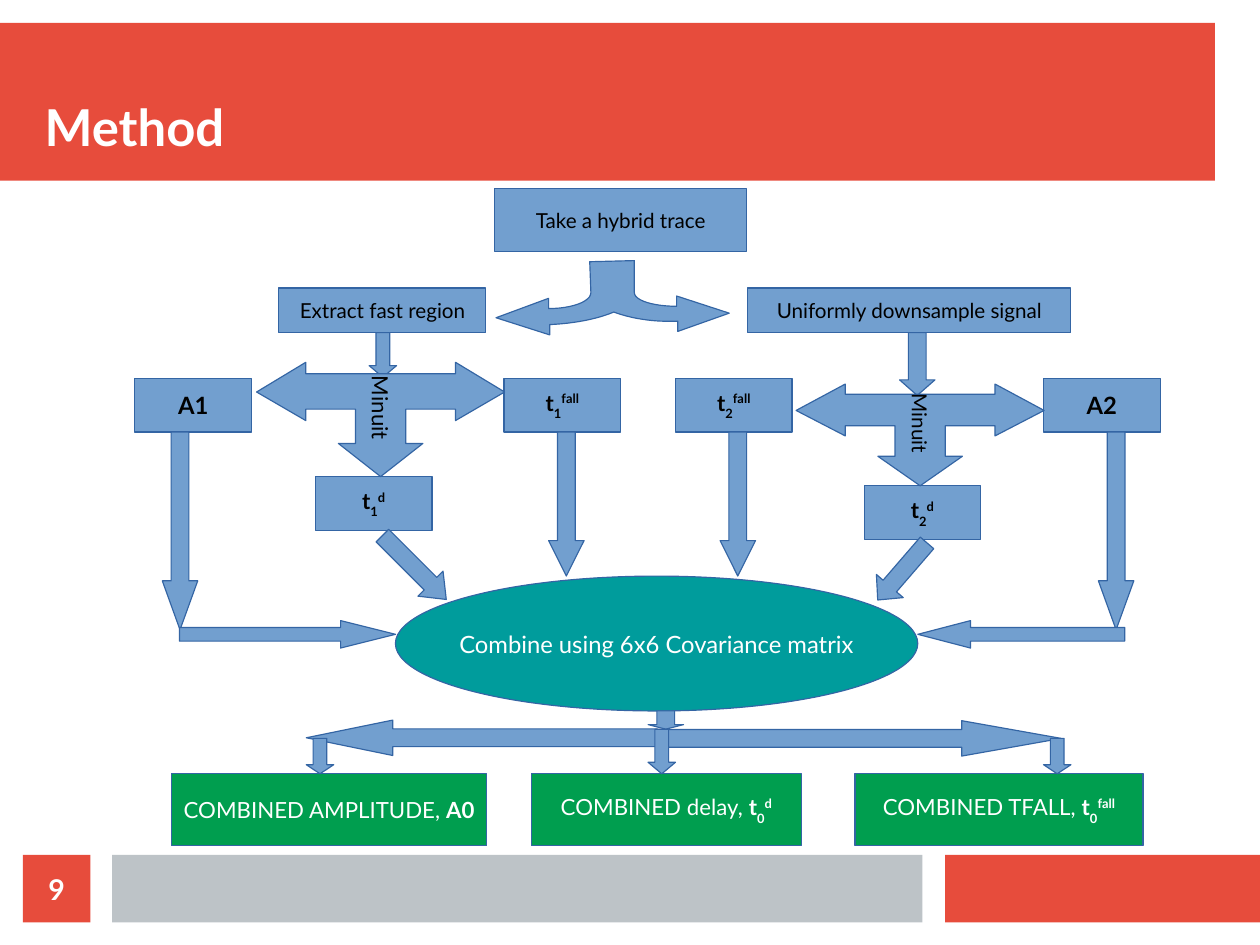
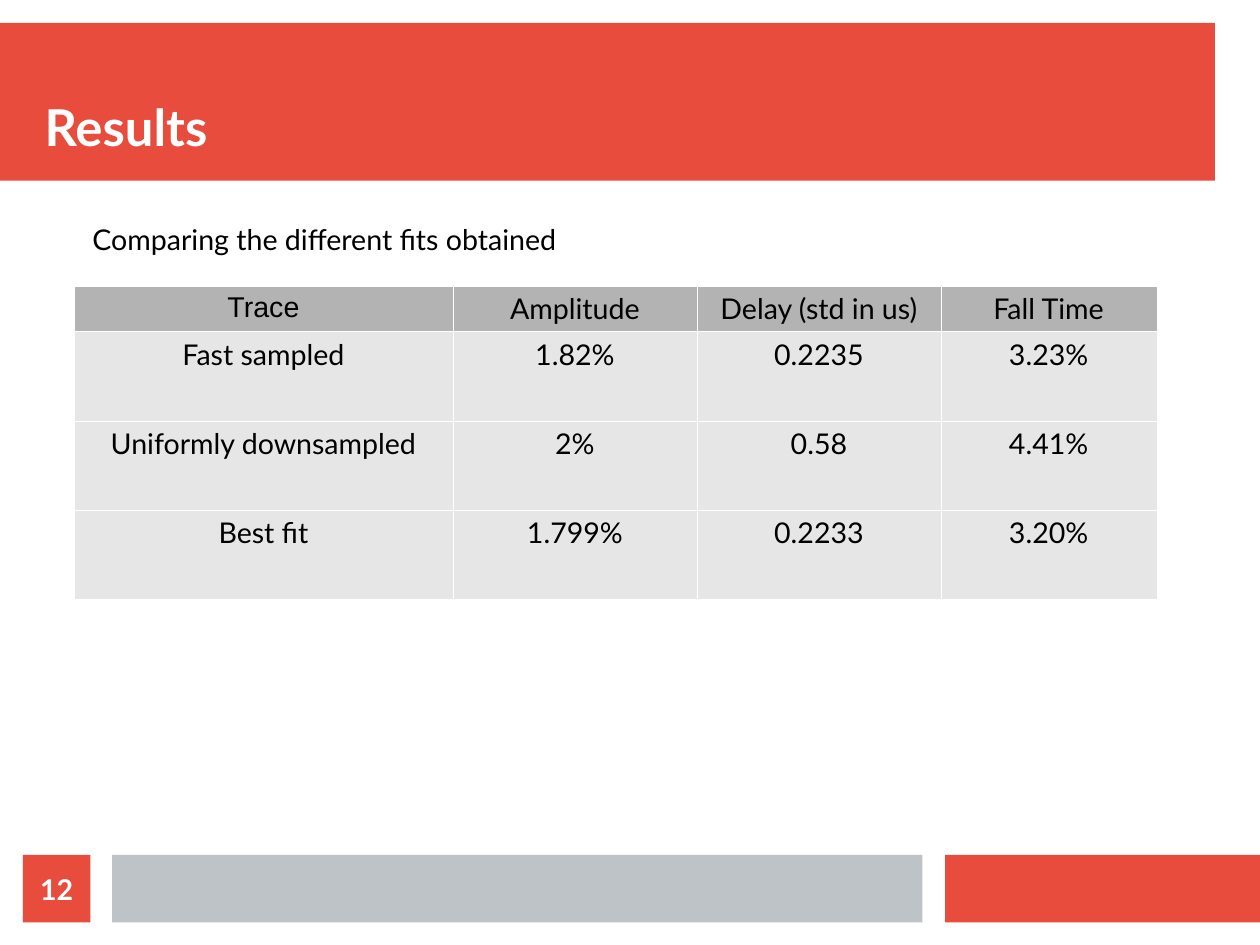
import pptx
import pptx.util
import pptx.dml.color
import pptx.enum.shapes
import pptx.enum.text
from dataclasses import dataclass
from lxml import etree

Inches, Pt = pptx.util.Inches, pptx.util.Pt
Shapes = pptx.enum.shapes.MSO_SHAPE
Align, Anchor = pptx.enum.text.PP_ALIGN, pptx.enum.text.MSO_ANCHOR


@dataclass(frozen=True)
class Theme:
    font: str = "Lato"
    header_font: str = "Arial"
    red: str = "E74C3C"
    grey: str = "BDC3C7"
    blue: str = "729FCF"
    outline: str = "3465A4"
    teal: str = "009C9C"
    green: str = "009E4F"
    header_fill: str = "B3B3B3"
    cell_fill: str = "E6E6E6"
    black: str = "000000"
    white: str = "FFFFFF"
    title_size: int = 32
    body_size: int = 18
    step_size: int = 13
    symbol_size: int = 14
    large_size: int = 15


THEME = Theme()
PAGE = (28 / 2.54, 21 / 2.54)  # 28 by 21 cm
BANDS = [
    (0, 0.2, 10.63, 1.38, THEME.red),
    (8.27, 7.48, 2.76, 0.59, THEME.red),
    (0.98, 7.48, 7.09, 0.59, THEME.grey),
]


def symbol(index, power):
    return [("t", "bold"), (index, "sub"), (power, "super")]


STEPS = [  # left, top, width, height, runs, size
    (4.33, 1.65, 2.2, 0.55, [("Take a hybrid trace", "")], THEME.step_size),
    (2.44, 2.52, 1.81, 0.39, [("Extract fast region", "")], THEME.step_size),
    (6.54, 2.52, 2.83, 0.39, [("Uniformly downsample signal", "")], THEME.step_size),
]
PARAMETERS = [  # left, top, runs, size
    (1.18, 3.31, [("A1", "bold")], THEME.large_size),
    (2.76, 4.17, symbol("1", "d"), THEME.symbol_size),
    (4.41, 3.31, symbol("1", "fall"), THEME.symbol_size),
    (5.91, 3.31, symbol("2", "fall"), THEME.symbol_size),
    (7.56, 4.25, symbol("2", "d"), THEME.symbol_size),
    (9.13, 3.31, [("A2", "bold")], THEME.large_size),
]
PARAMETER_SIZE = (1.02, 0.47)
RESULTS = [  # left, width, runs
    (1.5, 2.76, [("COMBINED AMPLITUDE, ", ""), ("A0", "bold")]),
    (4.65, 2.36, [("COMBINED delay, ", "")] + symbol("0", "d")),
    (7.48, 2.52, [("COMBINED TFALL, ", "")] + symbol("0", "fall")),
]
DOWN, LEFT, RIGHT = Shapes.DOWN_ARROW, Shapes.LEFT_ARROW, Shapes.RIGHT_ARROW
ARROWS = [  # direction, left, top, width, height, head ratio, rotation
    (DOWN, 3.23, 2.91, 0.24, 0.39, 0.42, 0),
    (DOWN, 7.87, 2.91, 0.31, 0.55, 0.44, 0),
    (DOWN, 1.42, 3.78, 0.31, 1.73, 1.38, 0),
    (DOWN, 9.61, 3.78, 0.31, 1.73, 1.38, 0),
    (RIGHT, 1.57, 5.43, 1.89, 0.24, 2, 0),
    (LEFT, 8.03, 5.43, 1.81, 0.24, 1.92, 0),
    (DOWN, 6.3, 3.78, 0.31, 1.26, 1, 0),
    (DOWN, 4.8, 3.78, 0.31, 1.26, 1, 0),
    (DOWN, 3.47, 4.57, 0.31, 0.79, 0.63, 315),
    (DOWN, 7.74, 4.67, 0.31, 0.66, 0.52, 40.8),
    (DOWN, 4.06, 4.92, 0.31, 3.07, 2.44, 90),
    (DOWN, 5.67, 6.22, 0.31, 0.16, 0.25, 0),
    (DOWN, 7.36, 4.69, 0.31, 3.54, 2.81, 270),
    (DOWN, 2.68, 6.46, 0.24, 0.31, 0.33, 0),
    (DOWN, 5.67, 6.38, 0.24, 0.39, 0.42, 0),
    (DOWN, 9.13, 6.46, 0.24, 0.31, 0.33, 0),
]
FITS = [  # centre x, top, depth, text size
    (3.33, 3.17, 1, 14),
    (8.05, 3.36, 0.89, 13),
]
FIT_SPAN = 2.17
# Each segment is one corner, or two control points and the end of a curve.
FORK = [
    [(5.17, 2.56)],
    [(5.17, 2.64), (5, 2.7), (4.8, 2.7)],
    [(4.8, 2.61)], [(4.34, 2.78)], [(4.81, 2.93)], [(4.81, 2.84)],
    [(5.03, 2.83), (5.23, 2.79), (5.37, 2.73)],
    [(5.5, 2.78), (5.7, 2.82), (5.93, 2.81)],
    [(5.93, 2.9)], [(6.38, 2.74)], [(5.92, 2.59)], [(5.92, 2.68)],
    [(5.72, 2.68), (5.55, 2.63), (5.55, 2.56)],
    [(5.55, 2.28)], [(5.16, 2.29)],
]

CAPTION = "Comparing the different fits obtained"
FIT_TABLE = [
    ("Trace", "Amplitude", "Delay (std in us)", "Fall Time"),
    ("Fast sampled", "1.82%", "0.2235", "3.23%"),
    ("Uniformly downsampled", "2%", "0.58", "4.41%"),
    ("Best fit", "1.799%", "0.2233", "3.20%"),
]
COLUMN_WIDTHS = (3.31, 2.14, 2.13, 1.89)
HEADER_HEIGHT, ROW_HEIGHT = 0.39, 0.78


def rgb(colour):
    return pptx.dml.color.RGBColor.from_string(colour)


def write(paragraph, runs, size, colour, font=THEME.font):
    baselines = {"sub": "-33000", "super": "33000"}
    for text, style in runs:
        run = paragraph.add_run()
        run.text = text
        run.font.name, run.font.size = font, Pt(size)
        run.font.color.rgb = rgb(colour)
        run.font.bold = style != ""
        if style in baselines:
            run._r.get_or_add_rPr().set("baseline", baselines[style])


def paint(shape, fill, outline=None):
    shape.shadow.inherit = False
    shape.fill.solid()
    shape.fill.fore_color.rgb = rgb(fill)
    if outline:
        shape.line.color.rgb = rgb(outline)
        shape.line.width = Pt(0)
    else:
        shape.line.fill.background()
    return shape


def place(slide, kind, box, fill, outline=None):
    shape = slide.shapes.add_shape(kind, *map(Inches, box))
    return paint(shape, fill, outline)


def label(shape, runs, size, colour):
    frame = shape.text_frame
    frame.word_wrap = False
    frame.vertical_anchor = Anchor.MIDDLE
    frame.paragraphs[0].alignment = Align.CENTER
    write(frame.paragraphs[0], runs, size, colour)


def node(slide, box, runs, size, fill=THEME.blue, colour=THEME.black, kind=Shapes.RECTANGLE):
    label(place(slide, kind, box, fill, THEME.outline), runs, size, colour)


def outline_shape(slide, points):
    corners = [(Inches(x), Inches(y)) for x, y in points]
    builder = slide.shapes.build_freeform(*corners[0])
    builder.add_line_segments(corners[1:], close=True)
    return paint(builder.convert_to_shape(), THEME.blue, THEME.outline)


def flatten(segments, steps=12):
    """Turn corners and cubic curves into one list of points."""
    points = []
    for segment in segments:
        if len(segment) == 1:
            points += segment
            continue
        curve = [points[-1]] + segment
        for step in range(1, steps + 1):
            t = step / steps
            weights = ((1 - t) ** 3, 3 * t * (1 - t) ** 2, 3 * t * t * (1 - t), t ** 3)
            points.append(tuple(sum(w * p[axis] for w, p in zip(weights, curve))
                                for axis in (0, 1)))
    return points


def add_fit(slide, centre, top, depth, size):
    """Three-headed arrow, built pointing right and turned to point down."""
    reach = FIT_SPAN / 2
    neck = 0.43 - reach
    half = [(0.1, neck), (0, neck), (0.26, -reach), (0.51, neck),
            (0.41, neck), (0.41, -0.22), (0.71, -0.22), (0.71, -0.37)]
    mirrored = [(along, -across) for along, across in reversed(half)]
    left, middle = centre - depth / 2, top + depth / 2
    points = [(left + along * depth, middle + across)
              for along, across in half + [(1, 0)] + mirrored]
    arrow = outline_shape(slide, points)
    arrow.rotation = 90
    label(arrow, [("Minuit", "")], size, THEME.black)
    arrow.text_frame.margin_right = Inches(0.3)


def add_text(slide, box, text, size, colour, bold=False):
    frame = slide.shapes.add_textbox(*map(Inches, box)).text_frame
    frame.word_wrap = True
    write(frame.paragraphs[0], [(text, "bold" if bold else "")], size, colour)
    return frame


def clear_margins(frame):
    frame.margin_left = frame.margin_right = frame.margin_top = frame.margin_bottom = 0


def new_slide(deck, title, number):
    slide = deck.slides.add_slide(deck.slide_layouts[6])
    for *box, fill in BANDS:
        place(slide, Shapes.RECTANGLE, box, fill)
    heading = add_text(slide, (0.39, 0.39, 10.24, 0.98), title,
                       THEME.title_size, THEME.white, bold=True)
    heading.vertical_anchor = Anchor.BOTTOM
    clear_margins(heading)
    badge = place(slide, Shapes.RECTANGLE, (0.2, 7.48, 0.59, 0.59), THEME.red)
    label(badge, [(number, "bold")], THEME.body_size, THEME.white)
    clear_margins(badge.text_frame)
    return slide


def add_method(deck):
    slide = new_slide(deck, "Method", "9")
    for *box, runs, size in STEPS:
        node(slide, box, runs, size)
    for left, top, runs, size in PARAMETERS:
        node(slide, (left, top, *PARAMETER_SIZE), runs, size)
    node(slide, (3.46, 5.04, 4.57, 1.18), [("Combine using 6x6 Covariance matrix", "")],
         THEME.large_size, THEME.teal, THEME.white, Shapes.OVAL)
    for left, width, runs in RESULTS:
        node(slide, (left, 6.77, width, 0.63), runs, THEME.symbol_size,
             THEME.green, THEME.white)
    for direction, *box, head, rotation in ARROWS:
        arrow = place(slide, direction, box, THEME.blue, THEME.outline)
        arrow.adjustments[0], arrow.adjustments[1] = 0.5, head
        arrow.rotation = rotation
    outline_shape(slide, flatten(FORK))
    for fit in FITS:
        add_fit(slide, *fit)


def add_borders(cell):
    namespace = "http://schemas.openxmlformats.org/drawingml/2006/main"
    properties = cell._tc.get_or_add_tcPr()
    for position, side in enumerate(("lnL", "lnR", "lnT", "lnB")):
        border = etree.fromstring(
            f'<a:{side} xmlns:a="{namespace}" w="720"><a:solidFill>'
            f'<a:srgbClr val="{THEME.white}"/></a:solidFill></a:{side}>')
        properties.insert(position, border)


def add_results(deck):
    slide = new_slide(deck, "Results", "12")
    add_text(slide, (0.71, 1.89, 5.51, 0.44), CAPTION, THEME.body_size, THEME.black)
    heights = [HEADER_HEIGHT] + [ROW_HEIGHT] * (len(FIT_TABLE) - 1)
    box = (0.65, 2.5, sum(COLUMN_WIDTHS), sum(heights))
    table = slide.shapes.add_table(len(heights), len(COLUMN_WIDTHS), *map(Inches, box)).table
    table.horz_banding = table.first_row = False
    for column, width in zip(table.columns, COLUMN_WIDTHS):
        column.width = Inches(width)
    for r, (row, height) in enumerate(zip(FIT_TABLE, heights)):
        table.rows[r].height = Inches(height)
        for c, text in enumerate(row):
            cell = table.cell(r, c)
            cell.fill.solid()
            cell.fill.fore_color.rgb = rgb(THEME.cell_fill if r else THEME.header_fill)
            add_borders(cell)
            paragraph = cell.text_frame.paragraphs[0]
            paragraph.alignment = Align.CENTER
            font = THEME.header_font if r == c == 0 else THEME.font
            write(paragraph, [(text, "")], THEME.body_size, THEME.black, font)


def main():
    deck = pptx.Presentation()
    deck.slide_width, deck.slide_height = map(Inches, PAGE)
    add_method(deck)
    add_results(deck)
    deck.save("out.pptx")


if __name__ == "__main__":
    main()
